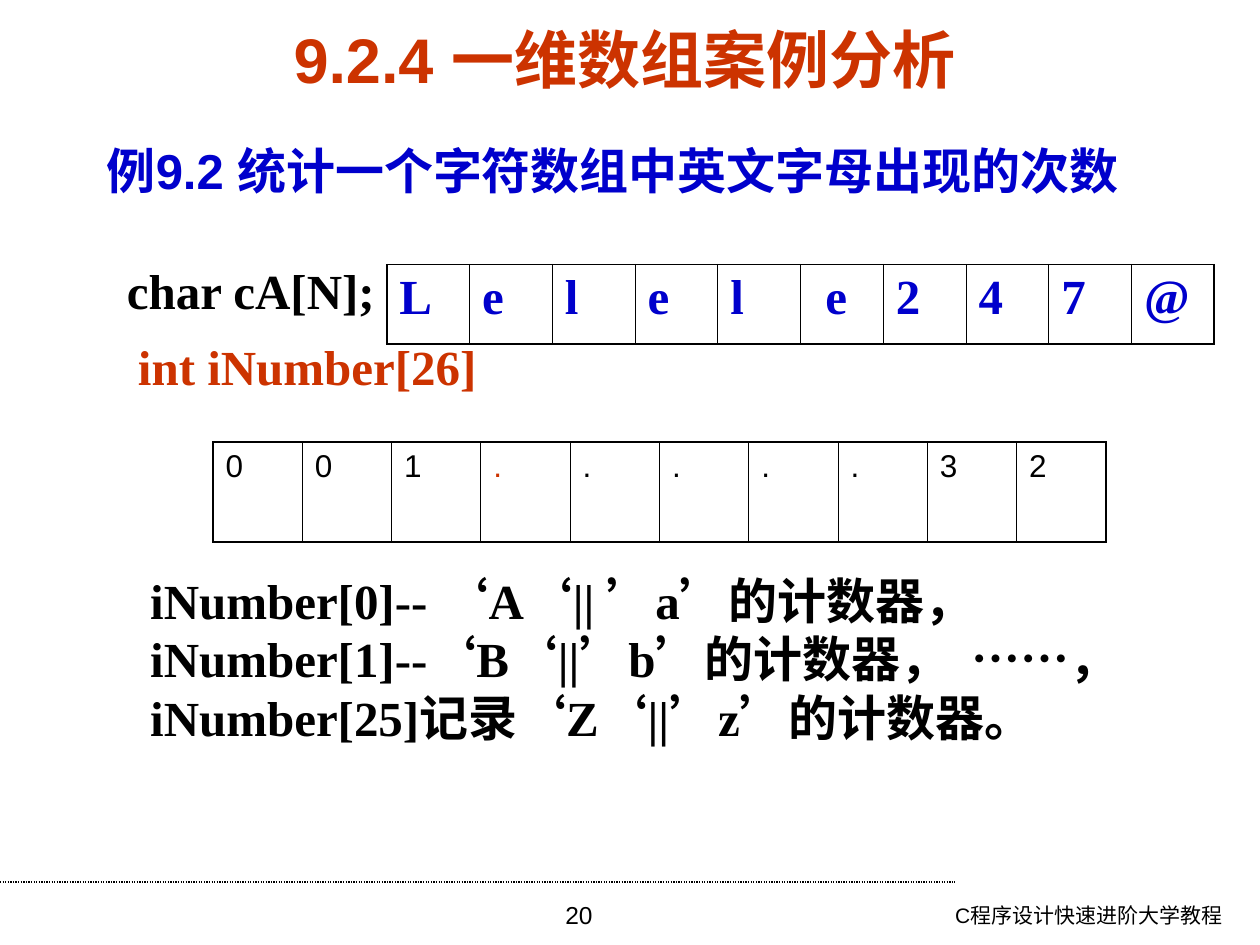
from dataclasses import dataclass

from lxml.etree import SubElement
from pptx import Presentation
from pptx.dml.color import RGBColor
from pptx.enum.dml import MSO_LINE
from pptx.enum.shapes import MSO_CONNECTOR
from pptx.enum.text import MSO_ANCHOR, MSO_AUTO_SIZE, PP_ALIGN
from pptx.oxml.ns import qn
from pptx.util import Inches, Pt

CELL = 0.1  # inches; the grid has 100 columns and 75 rows


@dataclass(frozen=True)
class Theme:
    black: str = "000000"
    red: str = "CC3300"
    blue: str = "0000CC"
    sans: str = "Arial"
    serif: str = "Times New Roman"
    title: int = 36
    body: int = 28
    number: int = 18
    page: int = 14
    footer: int = 12
    gap: int = 7
    outer: float = 1.08
    inner: float = 0.45
    rule: float = 0.75


def grid(*cells):
    return [Inches(cell * CELL) for cell in cells]


class SlideBuilder:
    def __init__(self, page, theme):
        self.page = page
        self.theme = theme

    def format_span(self, span, size, color, font, bold=False):
        span.font.size = Pt(size)
        span.font.name = font
        span.font.bold = bold
        span.font.color.rgb = RGBColor.from_string(color)

    def format_para(self, para, size, color, font, bold=False, align=PP_ALIGN.LEFT, before=0):
        para.alignment = align
        para.space_before = Pt(before)
        for span in para.runs:
            self.format_span(span, size, color, font, bold)

    def title(self, place, text):
        box = self.page.shapes.title
        box.left, box.top, box.width, box.height = grid(*place)
        frame = box.text_frame
        frame.text = text
        frame.auto_size = MSO_AUTO_SIZE.NONE
        frame.vertical_anchor = MSO_ANCHOR.MIDDLE
        self.format_para(frame.paragraphs[0], self.theme.title, self.theme.red,
                         self.theme.sans, True, PP_ALIGN.CENTER)

    def text(self, place, text, size, color, font, wrap=True, anchor=MSO_ANCHOR.TOP, **style):
        frame = self.page.shapes.add_textbox(*grid(*place)).text_frame
        frame.word_wrap = wrap
        frame.vertical_anchor = anchor
        frame.text = text
        for para in frame.paragraphs:
            self.format_para(para, size, color, font, **style)
        return frame

    def border(self, cell, side, width):
        line = SubElement(cell._tc.get_or_add_tcPr(), qn(f"a:ln{side}"), w=str(Pt(width)))
        fill = SubElement(line, qn("a:solidFill"))
        SubElement(fill, qn("a:srgbClr"), val=self.theme.black)

    def array(self, place, values, size, color, font, accents=(), **style):
        """Draw a one-row table; accents are the columns shown in red."""
        theme = self.theme
        table = self.page.shapes.add_table(1, len(values), *grid(*place)).table
        table.first_row = table.horz_banding = False
        last = len(values) - 1
        for column, value in enumerate(values):
            cell = table.cell(0, column)
            cell.text_frame.text = value
            ink = theme.red if column in accents else color
            self.format_para(cell.text_frame.paragraphs[0], size, ink, font, **style)
            self.border(cell, "L", theme.inner if column else theme.outer)
            self.border(cell, "R", theme.inner if column < last else theme.outer)
            self.border(cell, "T", theme.outer)
            self.border(cell, "B", theme.outer)
            cell.fill.background()

    def rule(self, start, end):
        line = self.page.shapes.add_connector(MSO_CONNECTOR.STRAIGHT, *grid(*start, *end))
        line.line.color.rgb = RGBColor.from_string(self.theme.black)
        line.line.width = Pt(self.theme.rule)
        line.line.dash_style = MSO_LINE.ROUND_DOT
        SubElement(line._element.spPr, qn("a:effectLst"))


def main():
    theme = Theme()
    deck = Presentation()
    deck.slide_width, deck.slide_height = grid(100, 75)
    slide = SlideBuilder(deck.slides.add_slide(deck.slide_layouts[5]), theme)

    slide.rule((0, 70), (75.8, 70))
    slide.text((65.7, 71.1, 32.3, 3.9), "C程序设计快速进阶大学教程", theme.footer,
               theme.black, theme.sans, align=PP_ALIGN.RIGHT)
    slide.text((34.3, 70.9, 23.3, 4.1), "20", theme.page,
               theme.black, theme.sans, align=PP_ALIGN.CENTER)

    slide.title((4.3, 2.1, 90.5, 5), "9.2.4 一维数组案例分析")
    slide.text((7.5, 10.7, 87.4, 6), "例9.2 统计一个字符数组中英文字母出现的次数",
               theme.body, theme.blue, theme.sans, bold=True, before=theme.gap)

    slide.array((30.7, 21, 65.7, 6.3), ["L", "e", "l", "e", "l", " e", "2", "4", "7", "@"],
                theme.body, theme.blue, theme.serif, bold=True, before=theme.gap)
    slide.array((16.9, 35.1, 70.9, 7.9), ["0", "0", "1", *"....." , "3", "2"],
                theme.number, theme.black, theme.sans, accents=(3,))

    counters = [
        " int iNumber[26]",
        "  iNumber[0]-- ‘A‘|| ’a’的计数器，",
        "  iNumber[1]--‘B‘||’b’的计数器，  ……，",
        "  iNumber[25]记录‘Z‘||’z’的计数器。",
    ]
    frame = slide.text((9, 26.2, 86.6, 40.3), "\n".join(counters),
                       theme.body, theme.black, theme.serif, bold=True)
    declaration, first_counter = frame.paragraphs[:2]
    declaration.runs[0].font.color.rgb = RGBColor.from_string(theme.red)
    first_counter.space_before = Pt(100)

    slide.text((9.1, 20.2, 22.7, 5.7), "char cA[N];", theme.body, theme.black, theme.serif,
               wrap=False, anchor=MSO_ANCHOR.MIDDLE, bold=True)
    deck.save("out.pptx")


if __name__ == "__main__":
    main()
